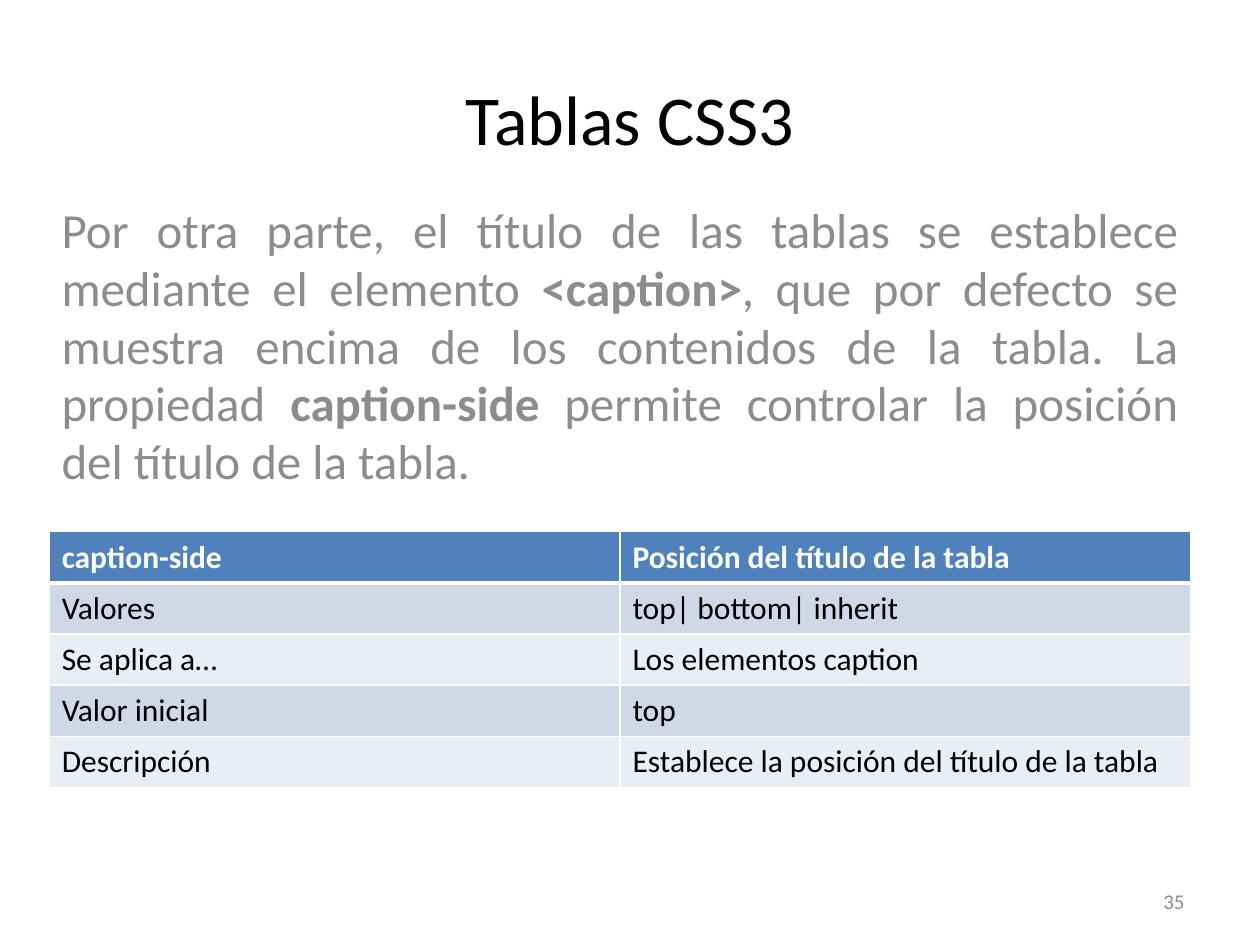
import pptx
import pptx.dml.color
import pptx.enum.text
import pptx.oxml
import pptx.oxml.ns
import pptx.util
from pptx.util import Inches

RGBColor = pptx.dml.color.RGBColor
Align = pptx.enum.text.PP_ALIGN
Anchor = pptx.enum.text.MSO_ANCHOR

BLACK = RGBColor(0x00, 0x00, 0x00)
WHITE = RGBColor(0xFF, 0xFF, 0xFF)
GRAY = RGBColor(0x8C, 0x8C, 0x8C)
HEADER_BLUE = RGBColor(0x4F, 0x81, 0xBD)
BANDS = [RGBColor(0xD0, 0xD8, 0xE8), RGBColor(0xE9, 0xED, 0xF4)]

INTRO = [
    ("Por otra parte, el título de las tablas se establece mediante el elemento ", False),
    ("<caption>", True),
    (", que por defecto se muestra encima de los contenidos de la tabla. La propiedad ", False),
    ("caption-side", True),
    (" permite controlar la posición del título de la tabla.", False),
]
PROPERTY_ROWS = [
    ("caption-side", "Posición del título de la tabla"),
    ("Valores", "top| bottom| inherit"),
    ("Se aplica a…", "Los elementos caption"),
    ("Valor inicial", "top"),
    ("Descripción", "Establece la posición del título de la tabla"),
]


def write(frame, text, *, size, color, font="Calibri", bold=False,
          align=Align.LEFT, line_spacing=None):
    """Fill the first paragraph with a string or a list of (text, bold) runs."""
    paragraph = frame.paragraphs[0]
    paragraph.alignment = align
    if line_spacing:
        paragraph.line_spacing = line_spacing
    for words, run_bold in [(text, bold)] if isinstance(text, str) else text:
        run = paragraph.add_run()
        run.text = words
        run.font.name = font
        run.font.size = pptx.util.Pt(size)
        run.font.bold = run_bold
        run.font.color.rgb = color


def set_borders(cell, color, widths):
    """Draw cell borders; widths maps the sides L, R, T, B to points."""
    properties = cell._tc.get_or_add_tcPr()
    for index, (side, width) in enumerate(widths.items()):
        properties.insert(index, pptx.oxml.parse_xml(
            f'<a:ln{side} {pptx.oxml.ns.nsdecls("a")} w="{pptx.util.Pt(width)}">'
            f'<a:solidFill><a:srgbClr val="{color}"/></a:solidFill></a:ln{side}>'))


class SlideBuilder:
    def __init__(self, slide, font="Calibri"):
        self.slide = slide
        self.font = font

    def text(self, left, top, width, height, text, anchor=Anchor.TOP, **style):
        box = self.slide.shapes.add_textbox(
            Inches(left), Inches(top), Inches(width), Inches(height))
        frame = box.text_frame
        frame.word_wrap = True
        frame.vertical_anchor = anchor
        write(frame, text, font=self.font, **style)

    def table(self, left, top, width, height, rows):
        grid = self.slide.shapes.add_table(
            len(rows), len(rows[0]),
            Inches(left), Inches(top), Inches(width), Inches(height)).table
        for row, values in enumerate(rows):
            header = row == 0
            widths = {"L": 1, "R": 1, "T": 3 if row == 1 else 1, "B": 3 if header else 1}
            for column, value in enumerate(values):
                cell = grid.cell(row, column)
                cell.fill.solid()
                cell.fill.fore_color.rgb = HEADER_BLUE if header else BANDS[(row - 1) % 2]
                set_borders(cell, WHITE, widths)
                write(cell.text_frame, value, size=18, font=self.font,
                      color=WHITE if header else BLACK, bold=header)


def main():
    deck = pptx.Presentation()
    deck.slide_width, deck.slide_height = Inches(10), Inches(7.5)
    builder = SlideBuilder(deck.slides.add_slide(deck.slide_layouts[6]))
    builder.text(0.75, 0, 8.5, 1.87, "Tablas CSS3", anchor=Anchor.MIDDLE,
                 size=40, color=BLACK, align=Align.CENTER)
    builder.text(0.39, 1.56, 9.06, 2.42, INTRO, size=28, color=GRAY,
                 align=Align.JUSTIFY, line_spacing=0.98)
    builder.text(7.17, 6.95, 2.33, 0.4, "35", anchor=Anchor.MIDDLE,
                 size=12, color=GRAY, align=Align.RIGHT)
    builder.table(0.39, 4.22, 9.06, 2.03, PROPERTY_ROWS)
    deck.save("out.pptx")


if __name__ == "__main__":
    main()
